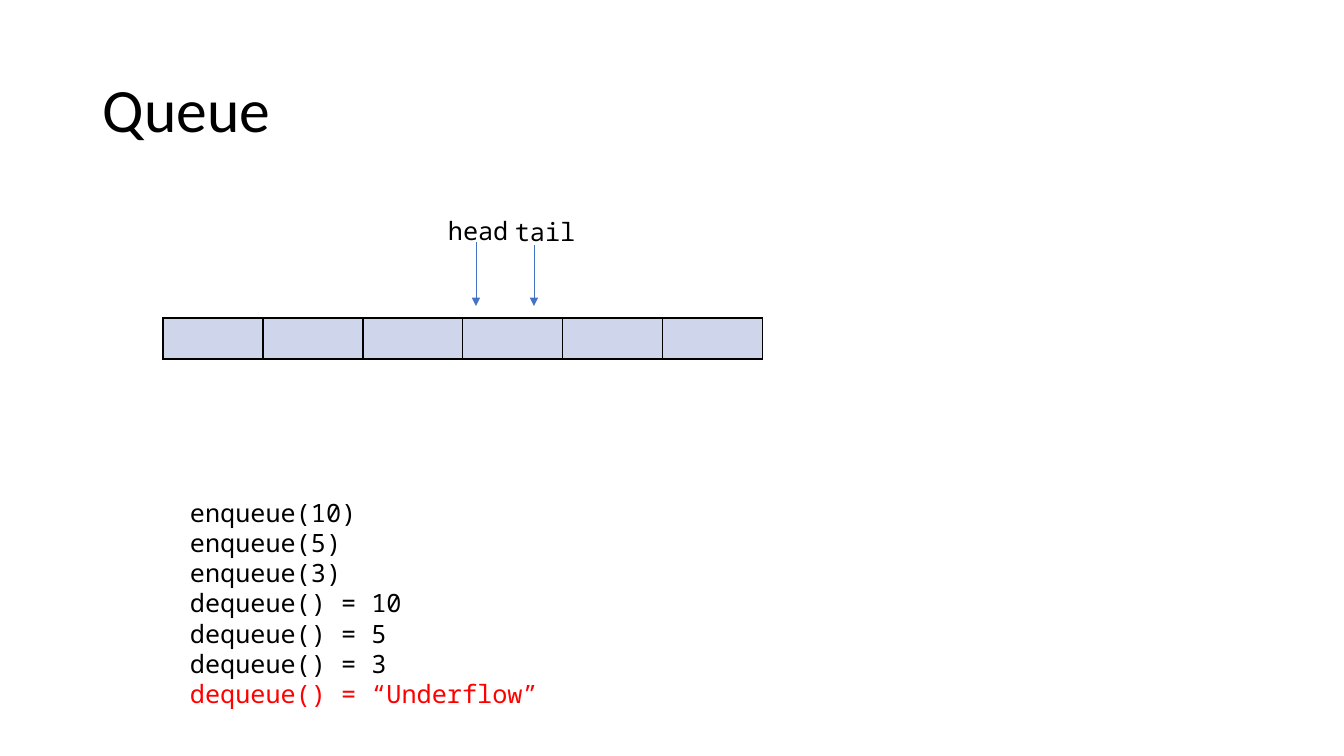
from lxml import etree
from pptx import Presentation, util as u
from pptx.dml.color import RGBColor
from pptx.enum import shapes, text
from pptx.oxml import parse_xml
from pptx.oxml.ns import nsdecls, qn

BLACK, BLUE, RED, CELL_FILL = "000000", "4472C4", "FF0000", "CFD5EA"
MONO = "Noto Sans Mono"


def px(count):
    return u.Emu(round(count * 914400 / 100.8))


def color(value):
    return RGBColor.from_string(value)


presentation = Presentation()
presentation.slide_width, presentation.slide_height = px(1344), px(756)
slide = presentation.slides.add_slide(presentation.slide_layouts[6])

cell_count, cell_width, cell_height = 6, 100, 41
table_frame = slide.shapes.add_table(
    1, cell_count, px(163), px(318), px(cell_count * cell_width), px(cell_height))
table = table_frame.table
for column in table.columns:
    column.width = px(cell_width)
for cell in table.iter_cells():
    properties = cell._tc.get_or_add_tcPr()
    for side in ("lnL", "lnR", "lnT", "lnB"):
        properties.append(parse_xml(
            f'<a:{side} {nsdecls("a")} w="12700"><a:solidFill>'
            f'<a:srgbClr val="{BLACK}"/></a:solidFill></a:{side}>'))
    cell.fill.solid()
    cell.fill.fore_color.rgb = color(CELL_FILL)

for x, top in ((534, 245), (476, 242)):
    arrow = slide.shapes.add_connector(
        shapes.MSO_CONNECTOR.STRAIGHT, px(x), px(top), px(x), px(306))
    arrow.line.color.rgb = color(BLUE)
    arrow.line.width = u.Pt(0.5)
    etree.SubElement(arrow.line._get_or_add_ln(), qn("a:tailEnd"), type="triangle")
    etree.SubElement(arrow._element.spPr, qn("a:effectLst"))

operations = ["enqueue(10)", "enqueue(5)", "enqueue(3)", "dequeue() = 10",
              "dequeue() = 5", "dequeue() = 3", "dequeue() = “Underflow”"]
text_boxes = [
    (93, 40, 1159, 146, ["Queue"], "Calibri", 44, text.MSO_ANCHOR.MIDDLE, 0.9),
    (438, 210, 102, 40, ["head"], MONO, 18, text.MSO_ANCHOR.TOP, 1.0),
    (505, 211, 102, 40, ["tail"], MONO, 18, text.MSO_ANCHOR.TOP, 1.0),
    (180, 492, 373, 224, operations, MONO, 18, text.MSO_ANCHOR.TOP, 1.0),
]
for left, top, width, height, lines, font_name, size, anchor, spacing in text_boxes:
    shape = slide.shapes.add_textbox(px(left), px(top), px(width), px(height))
    frame = shape.text_frame
    frame.word_wrap = True
    frame.vertical_anchor = anchor
    frame.text = "\n".join(lines)
    for paragraph in frame.paragraphs:
        paragraph.line_spacing = spacing
        paragraph.font.name = font_name
        paragraph.font.size = u.Pt(size)
        underflow = "Underflow" in paragraph.text
        paragraph.font.color.rgb = color(RED if underflow else BLACK)

presentation.save("out.pptx")
